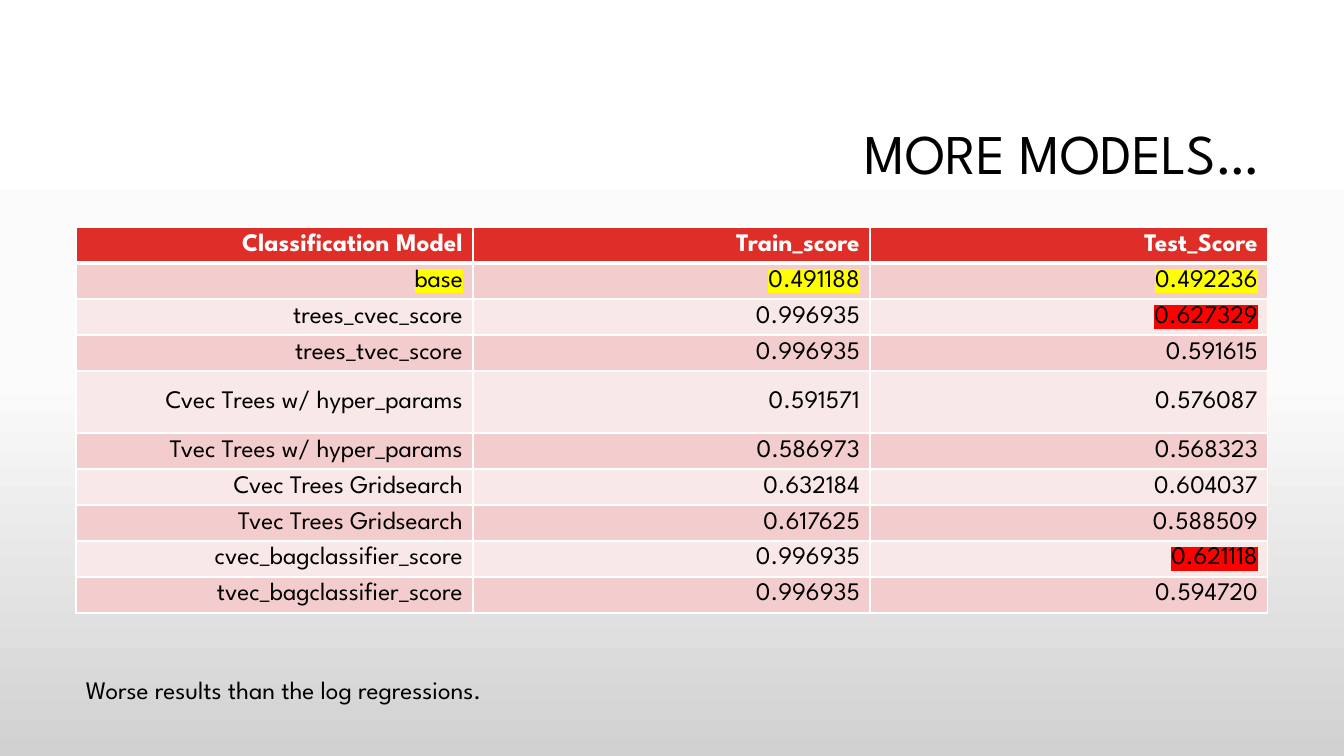
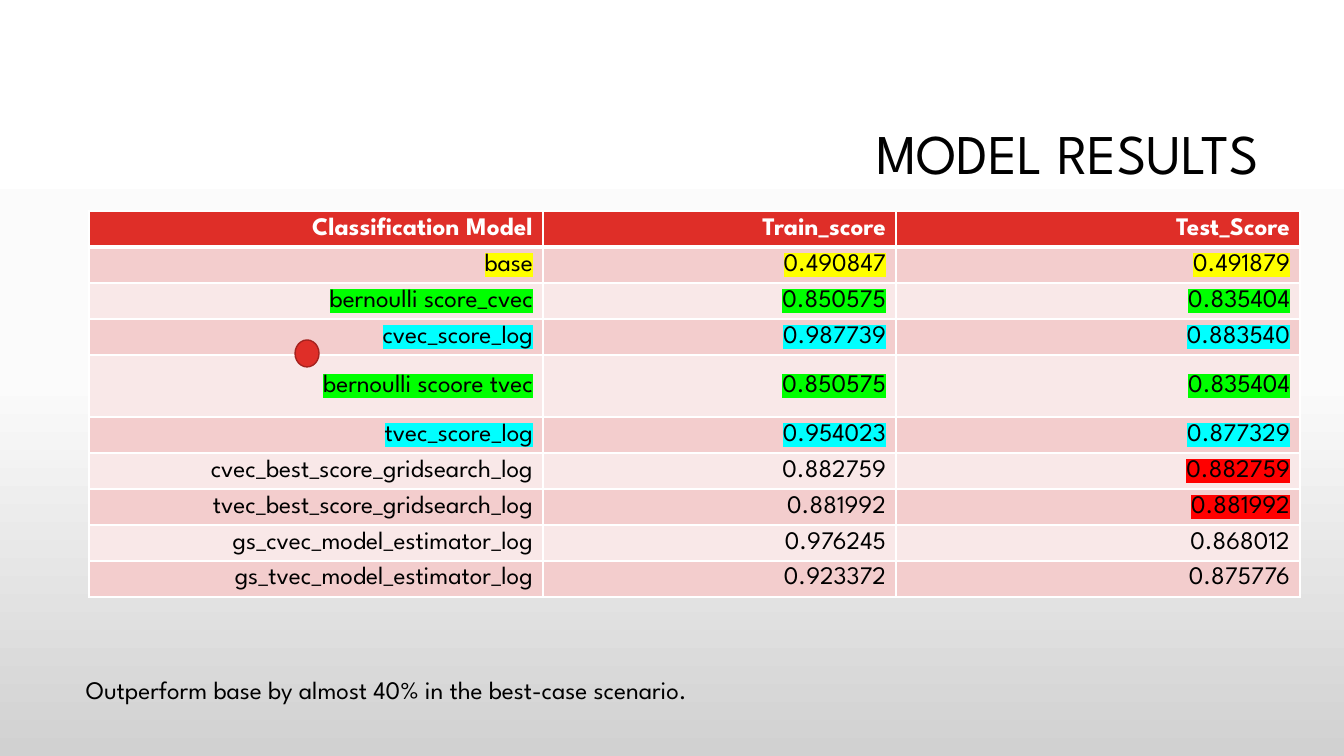
from copy import deepcopy

from lxml import etree
from pptx import Presentation
from pptx import util as u
from pptx.dml.color import RGBColor
from pptx.enum import shapes, text
from pptx.oxml import ns

PX = 12192000 / 1344
FONT = "League Spartan"
COLORS = {
    "black": "000000", "white": "FFFFFF", "accent": "DF2E28", "outline": "A5221E",
    "odd": "F3CDCD", "even": "F9E8E8", "middle": "FBFBFB", "bottom": "D1D1D1",
    "yellow": "FFFF00", "green": "00FF00", "cyan": "00FFFF", "red": "FF0000",
}
HEADER = ("Classification Model", "Train_score", "Test_Score")
ROW_HEIGHT, TALL_ROW, TALL_HEIGHT = 36, 4, 62

MORE_MODELS = [
    ("base", "0.491188", "0.492236", "yellow"),
    ("trees_cvec_score", "0.996935", "0.627329", "red"),
    ("trees_tvec_score", "0.996935", "0.591615", None),
    ("Cvec Trees w/ hyper_params", "0.591571", "0.576087", None),
    ("Tvec Trees w/ hyper_params", "0.586973", "0.568323", None),
    ("Cvec Trees Gridsearch", "0.632184", "0.604037", None),
    ("Tvec Trees Gridsearch", "0.617625", "0.588509", None),
    ("cvec_bagclassifier_score", "0.996935", "0.621118", "red"),
    ("tvec_bagclassifier_score", "0.996935", "0.594720", None),
]
MODEL_RESULTS = [
    ("base", "0.490847", "0.491879", "yellow"),
    ("bernoulli score_cvec", "0.850575", "0.835404", "green"),
    ("cvec_score_log", "0.987739", "0.883540", "cyan"),
    ("bernoulli scoore tvec", "0.850575", "0.835404", "green"),
    ("tvec_score_log", "0.954023", "0.877329", "cyan"),
    ("cvec_best_score_gridsearch_log", "0.882759", "0.882759", "red"),
    ("tvec_best_score_gridsearch_log", "0.881992", "0.881992", "red"),
    ("gs_cvec_model_estimator_log", "0.976245", "0.868012", None),
    ("gs_tvec_model_estimator_log", "0.923372", "0.875776", None),
]


def px(*lengths):
    return [u.Emu(round(n * PX)) for n in lengths]


def rgb(name):
    return RGBColor.from_string(COLORS[name])


def add_color(parent, tag, name):
    el = etree.SubElement(parent, ns.qn(tag))
    etree.SubElement(el, ns.qn("a:srgbClr"), val=COLORS[name])
    return el


def write(tf, words, size=18, color="black", bold=False, align="RIGHT",
          spacing=None, highlight=None):
    p = tf.paragraphs[0]
    p.alignment = getattr(text.PP_ALIGN, align)
    p.line_spacing = spacing
    r = p.add_run()
    r.text = words
    r.font.size, r.font.bold = u.Pt(size), bold
    r.font.color.rgb = rgb(color)
    if highlight:
        add_color(r.font._element, "a:highlight", highlight)
    r.font.name = FONT


class Deck:
    """Holds the shared style and the current slide."""

    def __init__(self):
        self.prs = Presentation()
        self.prs.slide_width, self.prs.slide_height = px(1344, 756)
        fill = self.prs.slide_master.background.fill
        fill.gradient()
        fill.gradient_angle = 270
        first = fill.gradient_stops[0]._gs
        first.addnext(deepcopy(first))
        for stop, name, position in zip(fill.gradient_stops,
                                        ("white", "middle", "bottom"), (0, 0.5, 1)):
            stop.color.rgb = rgb(name)
            stop.position = position

    def new_slide(self, title):
        self.s = self.prs.slides.add_slide(self.prs.slide_layouts[5])
        sp = self.s.shapes.title
        sp.left, sp.top, sp.width, sp.height = px(320, 85, 949, 142)
        sp.text_frame.vertical_anchor = text.MSO_ANCHOR.MIDDLE
        write(sp.text_frame, title, size=40, spacing=0.9)

    def borders(self, cell, row):
        tc_pr = cell._tc.get_or_add_tcPr()
        thick = {0: "B", 1: "T"}.get(row)
        for side in "LRTB":
            width = u.Pt(3 if side == thick else 1)
            ln = etree.SubElement(tc_pr, ns.qn(f"a:ln{side}"), w=str(width))
            add_color(ln, "a:solidFill", "white")

    def table(self, left, top, widths, records):
        heights = [TALL_HEIGHT if i == TALL_ROW else ROW_HEIGHT
                   for i in range(len(records) + 1)]
        table = self.s.shapes.add_table(
            len(heights), len(widths), *px(left, top, sum(widths), sum(heights))).table
        for column, width in zip(table.columns, px(*widths)):
            column.width = width
        for row, height in zip(table.rows, px(*heights)):
            row.height = height
        for i, (*values, mark) in enumerate([(*HEADER, None), *records]):
            for j, value in enumerate(values):
                cell = table.cell(i, j)
                cell.vertical_anchor = text.MSO_ANCHOR.MIDDLE
                self.borders(cell, i)
                cell.fill.solid()
                cell.fill.fore_color.rgb = rgb(
                    "accent" if i == 0 else "odd" if i % 2 else "even")
                marked = mark != "red" or j == len(widths) - 1
                write(cell.text_frame, value, bold=i == 0,
                      color="black" if i else "white",
                      highlight=mark if marked else None)

    def caption(self, words):
        tf = self.s.shapes.add_textbox(*px(76, 669, 1192, 40)).text_frame
        tf.word_wrap = True
        write(tf, words, align="LEFT")

    def dot(self, *box):
        sp = self.s.shapes.add_shape(shapes.MSO_SHAPE.OVAL, *px(*box))
        sp.shadow.inherit = False
        sp.fill.solid()
        sp.fill.fore_color.rgb = rgb("accent")
        sp.line.color.rgb = rgb("outline")
        sp.line.width = u.Pt(1)


def main():
    deck = Deck()
    deck.new_slide("MORE MODELS…")
    deck.table(76, 227, (397, 397, 398), MORE_MODELS)
    deck.caption("Worse results than the log regressions.")

    deck.new_slide("MODEL RESULTS")
    deck.table(89, 211, (454, 353, 404), MODEL_RESULTS)
    deck.caption("Outperform base by almost 40% in the best-case scenario.")
    deck.dot(295, 340, 24, 27)
    deck.prs.save("out.pptx")


if __name__ == "__main__":
    main()
